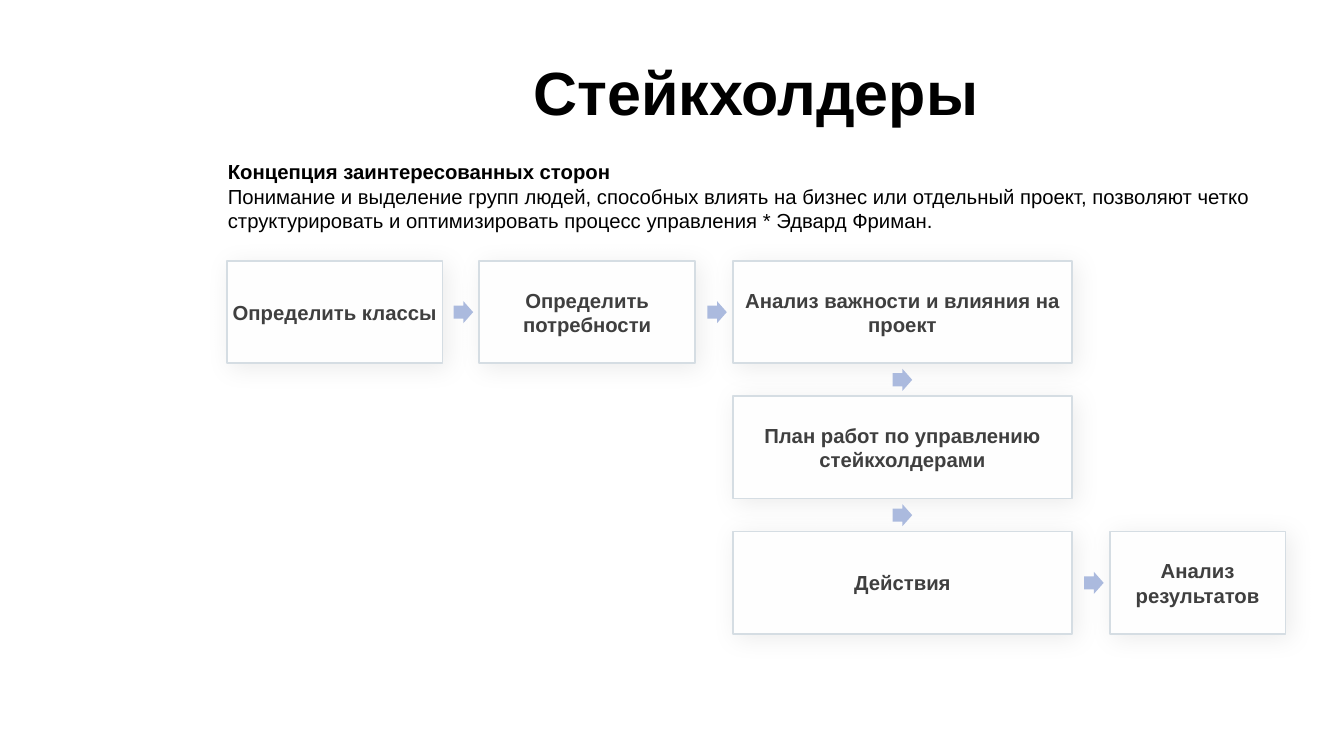
from dataclasses import dataclass

from lxml import etree
from pptx import Presentation
from pptx.dml.color import RGBColor
from pptx.enum.shapes import MSO_SHAPE as Shape
from pptx.enum.text import MSO_ANCHOR as Anchor, PP_ALIGN as Align
from pptx.oxml.ns import qn
from pptx.util import Inches, Pt

# Content
TITLE = "Стейкхолдеры"
INTRO = [
    ("Концепция заинтересованных сторон", True),
    ("Понимание и выделение групп людей, способных влиять на бизнес "
     "или отдельный проект, позволяют четко", False),
    ("структурировать и оптимизировать процесс управления * Эдвард Фриман.", False),
]
# Steps in flow order: text, column, row
STEPS = [
    ("Определить классы", 0, 0),
    ("Определить потребности", 1, 0),
    ("Анализ важности и влияния на проект", 2, 0),
    ("План работ по управлению стейкхолдерами", 2, 1),
    ("Действия", 2, 2),
    ("Анализ результатов", 3, 2),
]

# Grid, in inches
SLIDE_W, SLIDE_H = 11.02, 6.2
MARGIN, TEXT_W = 1.77, 8.86
COLUMNS = [(1.86, 1.77), (3.93, 1.77), (6.01, 2.78), (9.1, 1.44)]
ROW_TOP, ROW_PITCH, STEP_H = 2.14, 1.11, 0.84
ARROW_W, ARROW_H, ARROW_GAP = 0.16, 0.18, 0.05


@dataclass(frozen=True)
class Theme:
    font: str = "Arial"
    ink: str = "000000"
    step_ink: str = "3F3F3F"
    step_fill: str = "FEFEFE"
    step_line: str = "D5DDE3"
    arrow: str = "ABBADE"
    title_size: int = 36
    body_size: int = 12


THEME = Theme()


def write(box, lines, size, color, align, anchor, insets=(0, 0)):
    """Fill a shape with (text, bold) paragraphs."""
    frame = box.text_frame
    side, top = map(Inches, insets)
    layout = {"word_wrap": True, "vertical_anchor": anchor, "margin_left": side,
              "margin_right": side, "margin_top": top, "margin_bottom": top}
    for name, value in layout.items():
        setattr(frame, name, value)
    for index, (text, bold) in enumerate(lines):
        para = frame.add_paragraph() if index else frame.paragraphs[0]
        para.alignment = align
        span = para.add_run()
        span.text = text
        for name, value in {"name": THEME.font, "size": Pt(size), "bold": bold}.items():
            setattr(span.font, name, value)
        span.font.color.rgb = RGBColor.from_string(color)


def add_shape(page, kind, place, fill):
    shape = page.shapes.add_shape(kind, *map(Inches, place))
    shape.shadow.inherit = False
    shape.fill.solid()
    shape.fill.fore_color.rgb = RGBColor.from_string(fill)
    shape.line.fill.background()
    return shape


def add_soft_shadow(shape):
    effects = shape._element.spPr.find(qn("a:effectLst"))
    shadow = etree.SubElement(effects, qn("a:outerShdw"), blurRad=str(Pt(15)),
                              dist=str(Pt(3)), dir=str(45 * 60000), rotWithShape="0")
    color = etree.SubElement(shadow, qn("a:srgbClr"), val=THEME.ink)
    etree.SubElement(color, qn("a:alpha"), val="7000")


def add_step(page, text, column, row):
    left, width = COLUMNS[column]
    place = (left, ROW_TOP + row * ROW_PITCH, width, STEP_H)
    step = add_shape(page, Shape.RECTANGLE, place, THEME.step_fill)
    step.line.color.rgb = RGBColor.from_string(THEME.step_line)
    step.line.width = Pt(1)
    add_soft_shadow(step)
    write(step, [(text, True)], THEME.body_size, THEME.step_ink, Align.CENTER, Anchor.MIDDLE)


def add_arrow(page, start_row, column, row):
    """Place an arrow before a step, or above it when the row changes."""
    left, width = COLUMNS[column]
    top = ROW_TOP + row * ROW_PITCH
    if row > start_row:
        x = left + (width - ARROW_W) / 2
        y = top - (ROW_PITCH - STEP_H + ARROW_H) / 2
    else:
        x = left - ARROW_GAP - ARROW_W
        y = top + (STEP_H - ARROW_H) / 2
    arrow = add_shape(page, Shape.RIGHT_ARROW, (x, y, ARROW_W, ARROW_H), THEME.arrow)
    arrow.adjustments[0], arrow.adjustments[1] = 0.6, 0.5


def main():
    deck = Presentation()
    deck.slide_width, deck.slide_height = Inches(SLIDE_W), Inches(SLIDE_H)
    page = deck.slides.add_slide(deck.slide_layouts[6])

    # Title and introduction
    title = page.shapes.add_textbox(*map(Inches, (MARGIN, 0.24, TEXT_W, 1.02)))
    write(title, [(TITLE, True)], THEME.title_size, THEME.ink, Align.CENTER, Anchor.MIDDLE)
    intro = page.shapes.add_textbox(*map(Inches, (MARGIN, 1.26, TEXT_W, 0.75)))
    write(intro, INTRO, THEME.body_size, THEME.ink, Align.LEFT, Anchor.TOP, (0.1, 0.05))

    # Flow of steps
    for step in STEPS:
        add_step(page, *step)
    for (_, _, start_row), (_, column, row) in zip(STEPS, STEPS[1:]):
        add_arrow(page, start_row, column, row)

    deck.save("out.pptx")


if __name__ == "__main__":
    main()
